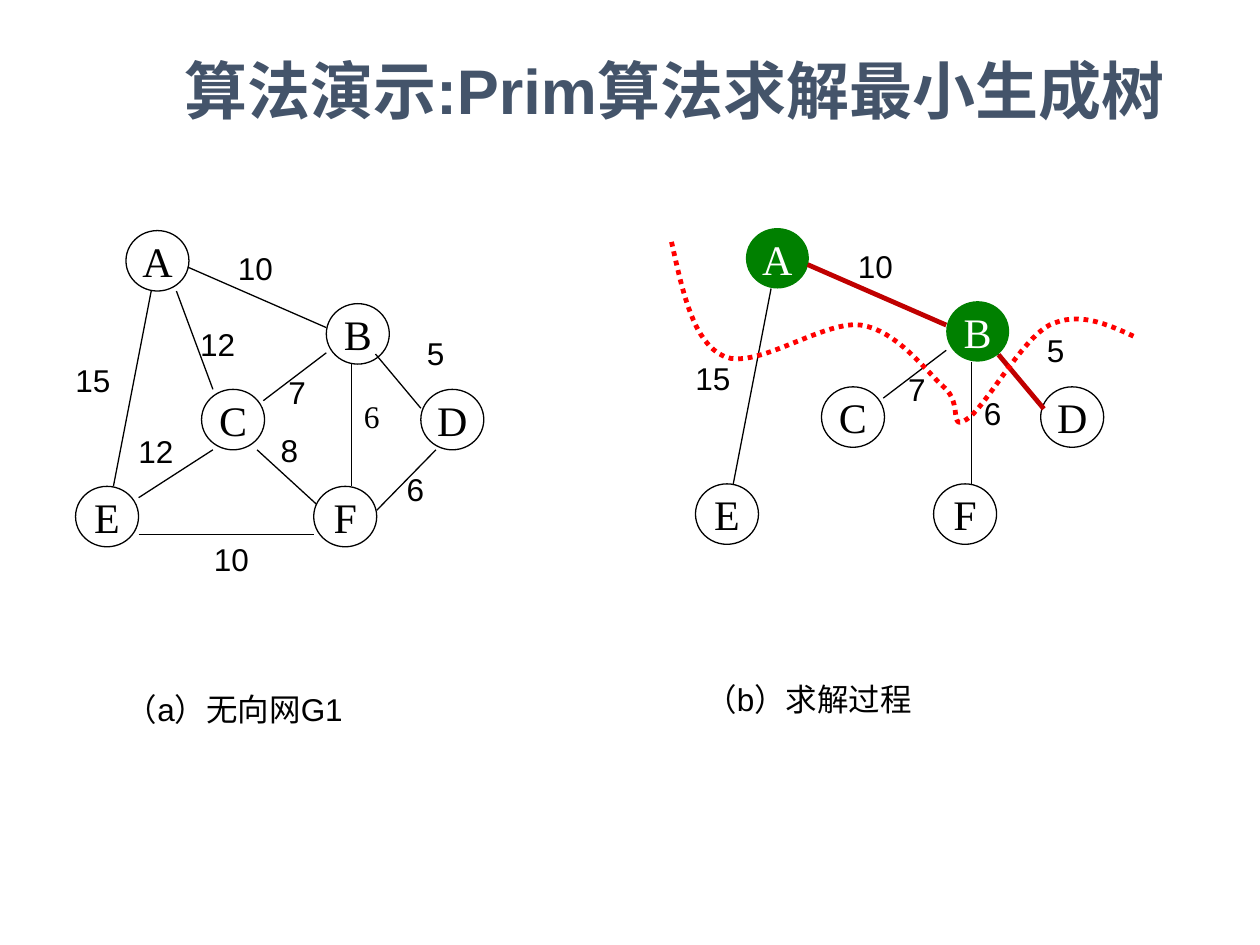
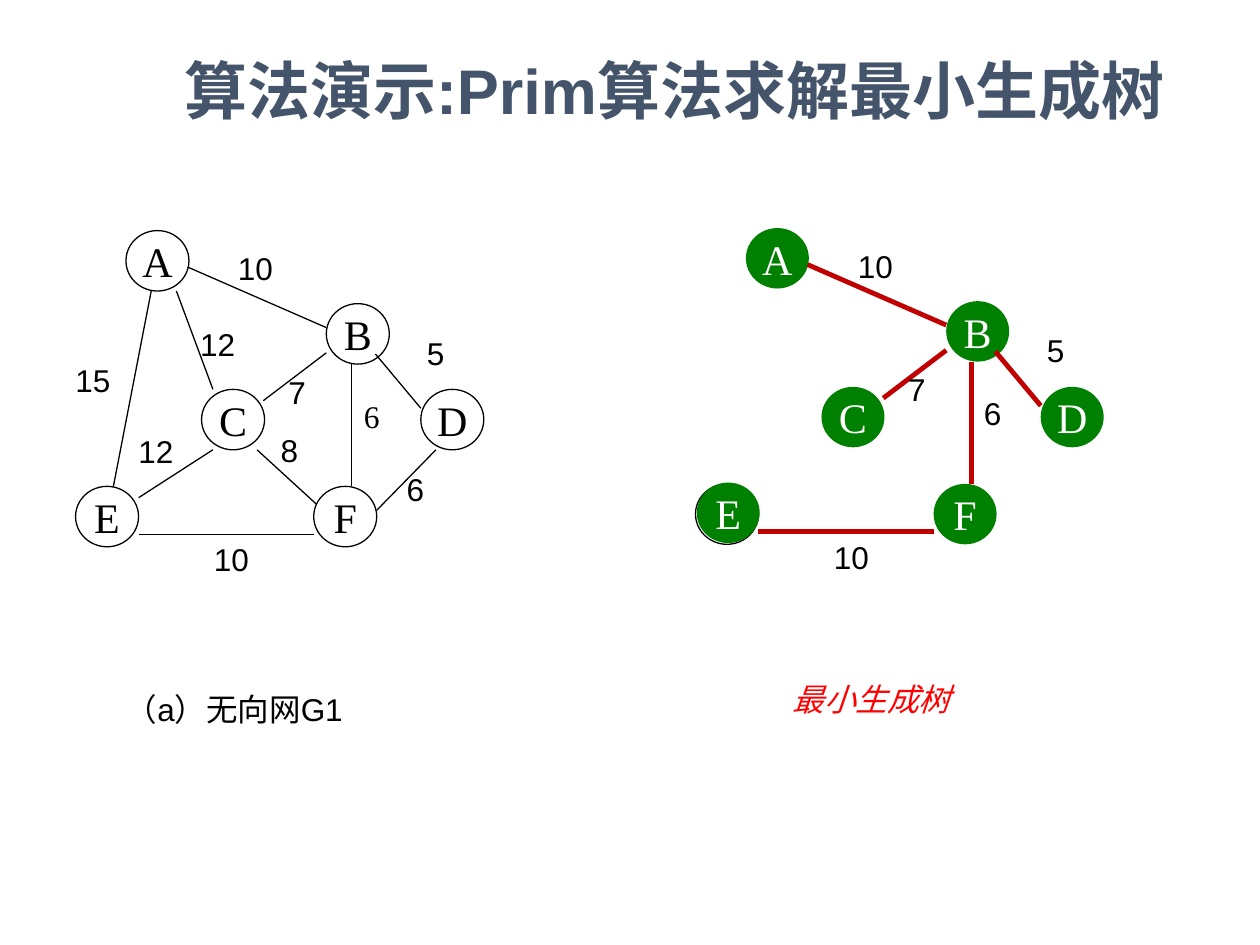
from dataclasses import dataclass, field
from typing import Any

from lxml.etree import SubElement
from pptx import Presentation
from pptx.dml.color import RGBColor
from pptx.enum.dml import MSO_LINE
from pptx.enum.shapes import MSO_CONNECTOR, MSO_SHAPE
from pptx.enum.text import MSO_ANCHOR, MSO_AUTO_SIZE, PP_ALIGN
from pptx.oxml.ns import qn
from pptx.slide import Slide
from pptx.util import Inches, Pt

SLIDE_WIDTH, SLIDE_HEIGHT = Inches(10), Inches(7.5)
COLUMN, ROW = SLIDE_WIDTH / 100, SLIDE_HEIGHT / 75
COLORS = {
    "ink": "000000",
    "paper": "FFFFFF",
    "title": "44546A",
    "visited": "008000",
    "chosen": "C00000",
    "highlight": "FF0000",
}
SANS, SERIF = "Arial", "Times New Roman"
TITLE = "算法演示:Prim算法求解最小生成树"
NODE_SIZE = (5, 4.8)
LABEL_SIZE = (8, 4)
THIN, THICK = 0.75, 2.75
CURVE_STEPS = 16

Point = tuple[float, float]


@dataclass(frozen=True)
class Edge:
    start: Point
    end: Point
    weight: str
    label: Point


@dataclass(frozen=True)
class TextStyle:
    size: float = 18
    font: str = SANS
    color: str = "ink"
    bold: bool = False
    italic: bool = False
    align: PP_ALIGN = PP_ALIGN.JUSTIFY


@dataclass(frozen=True)
class Caption:
    text: str
    place: Point
    width: float
    style: TextStyle = TextStyle()


@dataclass(frozen=True)
class Panel:
    origin: Point
    caption: Caption
    plain_nodes: str = ""
    visited_nodes: str = ""
    plain_edges: tuple[str, ...] = ()
    chosen_edges: dict[str, float] = field(default_factory=dict)
    serif_weights: tuple[str, ...] = ()
    cut: tuple[Point, ...] = ()


NODES: dict[str, Point] = {
    "A": (10, 18.3),
    "B": (25.9, 24.1),
    "C": (16, 30.9),
    "D": (33.4, 30.9),
    "E": (6, 38.6),
    "F": (24.9, 38.6),
}
EDGES: dict[str, Edge] = {
    "AE": Edge((12, 23.1), (9, 38.6), "15", (5, 28.2)),
    "AC": Edge((14, 23.1), (16.9, 30.9), "12", (14.9, 25.3)),
    "CE": Edge((16.9, 35.7), (11, 39.5), "12", (10, 33.8)),
    "EF": Edge((11, 42.4), (24.9, 42.4), "10", (16, 42.4)),
    "AB": Edge((14.9, 21.2), (25.9, 26), "10", (17.9, 19.3)),
    "BC": Edge((20.9, 31.8), (25.9, 28), "7", (21.9, 29.1)),
    "BF": Edge((27.9, 28.9), (27.9, 38.6), "6", (27.9, 31)),
    "BD": Edge((29.8, 28.1), (33.4, 32.4), "5", (32.9, 26)),
    "DF": Edge((29.9, 40.5), (34.6, 35.7), "6", (31.3, 36.8)),
    "CF": Edge((20.4, 35.7), (25.1, 40), "8", (21.3, 33.7)),
}
RIGHT_ORIGIN = (49.2, -0.2)
NETWORK = Panel(
    origin=(0, 0),
    caption=Caption("（a）无向网G1", (9, 54.3), 35),
    plain_nodes="ABCDEF",
    plain_edges=tuple(EDGES),
    serif_weights=("BF",),
)
SEARCH = Panel(
    origin=RIGHT_ORIGIN,
    caption=Caption("（b）求解过程", (55, 53.5), 35.6),
    plain_nodes="CDEF",
    visited_nodes="AB",
    plain_edges=("AE", "BC", "BF", "BD"),
    chosen_edges={"AB": 0, "BD": 0.25},
    cut=(
        (53.3, 19.2),
        (54.2, 23.2), (55, 27.2), (57.5, 28.3),
        (60, 29.4), (65.4, 25.4), (68.3, 25.8),
        (71.2, 26.2), (73.6, 29.6), (75, 30.8),
        (76.4, 32.1), (75.3, 34.2), (76.7, 33.3),
        (78.1, 32.5), (81.1, 26.9), (83.3, 25.8),
        (85.6, 24.7), (87.8, 25.7), (90, 26.7),
    ),
)
TREE = Panel(
    origin=RIGHT_ORIGIN,
    caption=Caption(
        "最小生成树", (50.8, 53.5), 36.7,
        TextStyle(color="highlight", italic=True, align=PP_ALIGN.CENTER),
    ),
    plain_nodes="E",
    visited_nodes="ABCDEF",
    chosen_edges={"BC": 0, "BF": 0, "BD": 0, "AB": 0, "EF": 0},
)


def grid(point: Point) -> tuple[int, int]:
    return round(point[0] * COLUMN), round(point[1] * ROW)


def moved(point: Point, offset: Point) -> Point:
    return point[0] + offset[0], point[1] + offset[1]


def rgb(name: str) -> RGBColor:
    return RGBColor.from_string(COLORS[name])


def apply_format(target: Any, values: dict[str, Any]) -> None:
    for name, value in values.items():
        setattr(target, name, value)


def write(shape: Any, text: str, style: TextStyle, frame_format: dict[str, Any]) -> None:
    apply_format(shape.text_frame, frame_format)
    paragraph = shape.text_frame.paragraphs[0]
    paragraph.alignment = style.align
    run = paragraph.add_run()
    run.text = text
    apply_format(run.font, {
        "name": style.font,
        "size": Pt(style.size),
        "bold": style.bold,
        "italic": style.italic,
    })
    run.font.color.rgb = rgb(style.color)


def add_text(slide: Slide, text: str, place: Point, size: Point, style: TextStyle) -> None:
    text_box = slide.shapes.add_textbox(*grid(place), *grid(size))
    write(text_box, text, style, {"word_wrap": True, "auto_size": MSO_AUTO_SIZE.SHAPE_TO_FIT_TEXT})


def set_line(line: Any, color: str, width: float) -> None:
    line.color.rgb = rgb(color)
    line.width = Pt(width)


def add_node(slide: Slide, name: str, place: Point, visited: bool) -> None:
    node = slide.shapes.add_shape(MSO_SHAPE.OVAL, *grid(place), *grid(NODE_SIZE))
    node.shadow.inherit = False
    if visited:
        node.fill.solid()
        node.fill.fore_color.rgb = rgb("visited")
        node.line.fill.background()
    else:
        node.fill.background()
        set_line(node.line, "ink", THIN)
    style = TextStyle(24, SERIF, "paper" if visited else "ink", align=PP_ALIGN.CENTER)
    write(node, name, style, {"word_wrap": False, "vertical_anchor": MSO_ANCHOR.MIDDLE})


def add_edge(slide: Slide, edge: Edge, offset: Point, color: str, width: float) -> None:
    connector = slide.shapes.add_connector(
        MSO_CONNECTOR.STRAIGHT,
        *grid(moved(edge.start, offset)),
        *grid(moved(edge.end, offset)),
    )
    set_line(connector.line, color, width)
    SubElement(connector._element.spPr, qn("a:effectLst"))


def bezier(controls: tuple[Point, ...], share: float) -> Point:
    rest = 1 - share
    weights = (rest ** 3, 3 * rest ** 2 * share, 3 * rest * share ** 2, share ** 3)
    x, y = (sum(w * c[axis] for w, c in zip(weights, controls)) for axis in (0, 1))
    return x, y


def add_cut(slide: Slide, controls: tuple[Point, ...]) -> None:
    points = [
        grid(bezier(controls[first:first + 4], step / CURVE_STEPS))
        for first in range(0, len(controls) - 1, 3)
        for step in range(1, CURVE_STEPS + 1)
    ]
    builder = slide.shapes.build_freeform(*grid(controls[0]))
    builder.add_line_segments(points, close=False)
    curve = builder.convert_to_shape()
    curve.shadow.inherit = False
    curve.fill.background()
    set_line(curve.line, "highlight", THICK)
    curve.line.dash_style = MSO_LINE.ROUND_DOT


def draw_panel(slide: Slide, panel: Panel) -> None:
    for name in panel.plain_nodes:
        add_node(slide, name, moved(NODES[name], panel.origin), False)
    for name in panel.plain_edges:
        add_edge(slide, EDGES[name], panel.origin, "ink", THIN)
    for name in panel.visited_nodes:
        nudge = (0.1, -0.1) if name in panel.plain_nodes else (0, 0)
        add_node(slide, name, moved(moved(NODES[name], panel.origin), nudge), True)
    for name, shift in panel.chosen_edges.items():
        add_edge(slide, EDGES[name], moved(panel.origin, (shift, shift)), "chosen", THICK)
    for name in dict.fromkeys((*panel.plain_edges, *panel.chosen_edges)):
        style = TextStyle(font=SERIF if name in panel.serif_weights else SANS)
        edge = EDGES[name]
        add_text(slide, edge.weight, moved(edge.label, panel.origin), LABEL_SIZE, style)
    if panel.cut:
        add_cut(slide, panel.cut)
    caption = panel.caption
    add_text(slide, caption.text, caption.place, (caption.width, 4), caption.style)


def main() -> None:
    presentation = Presentation()
    apply_format(presentation, {"slide_width": SLIDE_WIDTH, "slide_height": SLIDE_HEIGHT})
    title_style = TextStyle(36, color="title", bold=True, align=PP_ALIGN.CENTER)
    for result in (SEARCH, TREE):
        slide = presentation.slides.add_slide(presentation.slide_layouts[6])
        for panel in (NETWORK, result):
            draw_panel(slide, panel)
        add_text(slide, TITLE, (12.2, 3.6), (82.6, 7.1), title_style)
    presentation.save("out.pptx")


if __name__ == "__main__":
    main()
